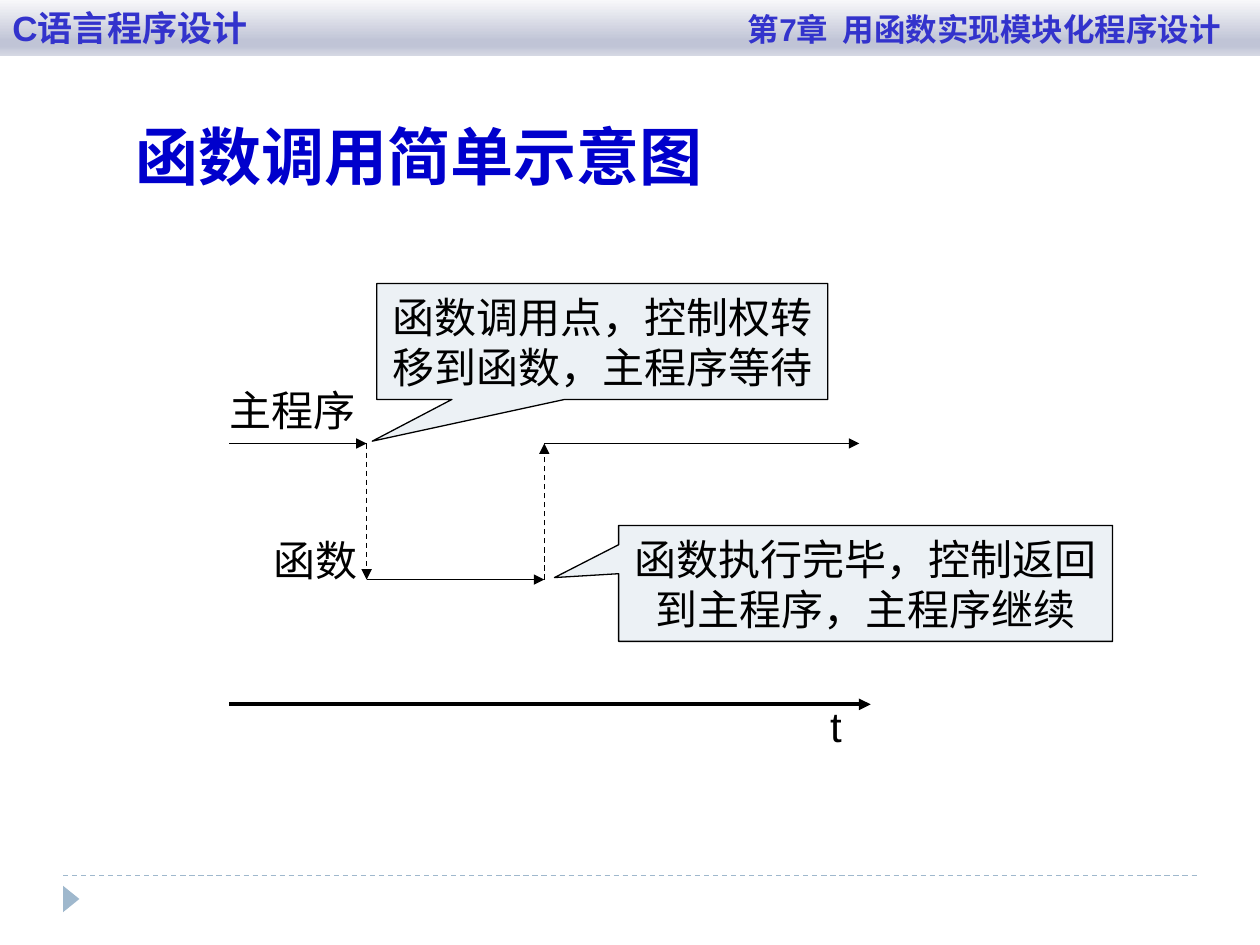
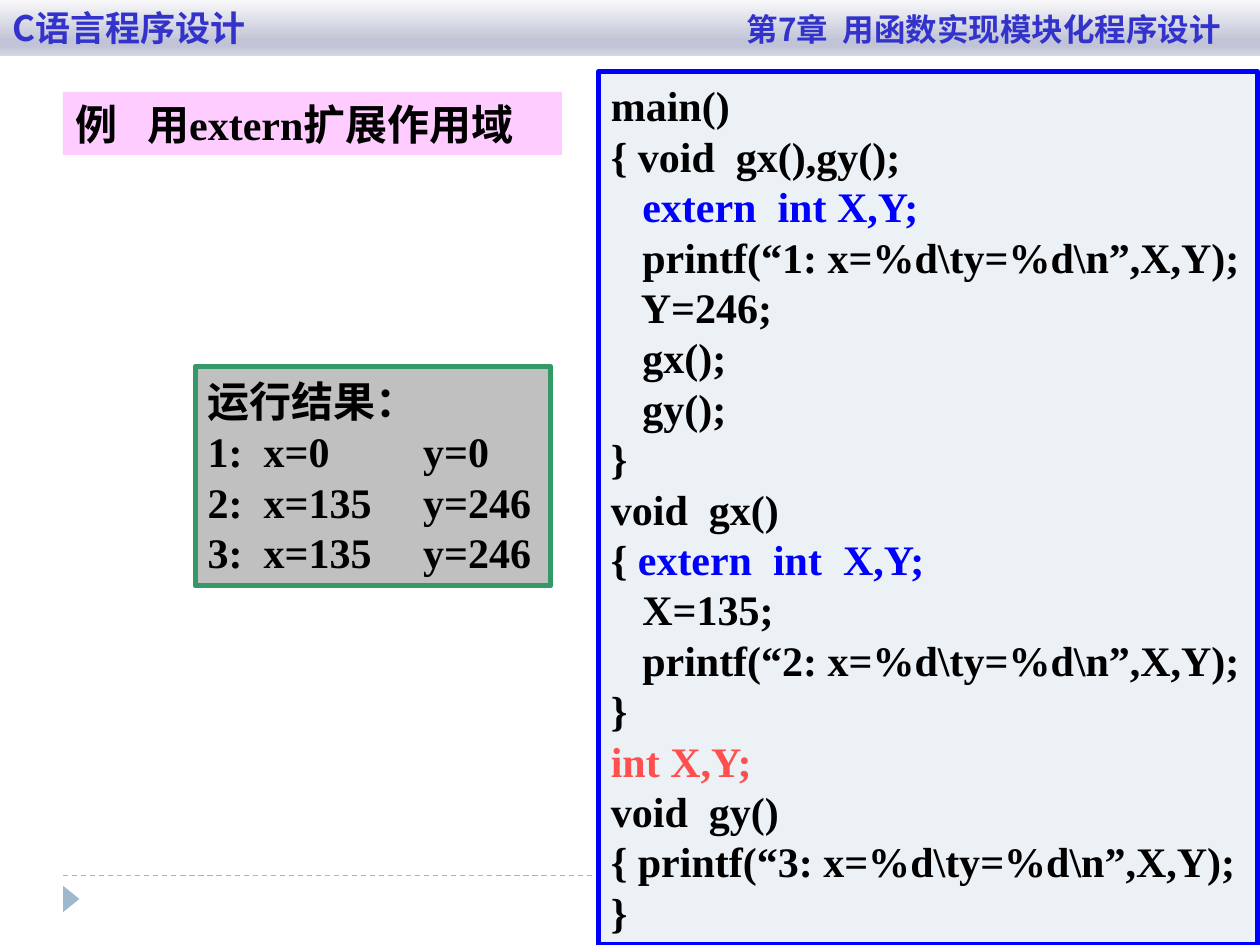
from dataclasses import dataclass
from typing import Optional

from lxml import etree
from pptx import Presentation
from pptx import util as u
from pptx.dml.color import RGBColor
from pptx.enum import dml, shapes, text
from pptx.oxml import ns

BLACK = RGBColor(0x00, 0x00, 0x00)
TITLE_BLUE = RGBColor(0x00, 0x00, 0xCC)
BAND_BLUE = RGBColor(0x33, 0x33, 0xCC)
CODE_BLUE = RGBColor(0x00, 0x00, 0xFF)
CODE_RED = RGBColor(0xFF, 0x50, 0x50)
MIST = RGBColor(0x9F, 0xB8, 0xCD)
PALE = RGBColor(0xEC, 0xF1, 0xF5)
PINK = RGBColor(0xFF, 0xCC, 0xFF)
SILVER = RGBColor(0xC0, 0xC0, 0xC0)
GREEN = RGBColor(0x33, 0x99, 0x66)
BAND_STOPS = (
    (0, RGBColor(0xF8, 0xF8, 0xFA)),
    (74, RGBColor(0xC0, 0xC4, 0xD6)),
    (83, RGBColor(0xC0, 0xC4, 0xD6)),
    (100, RGBColor(0xD5, 0xD8, 0xE3)),
)

SANS = "Arial"
CJK = "Noto Sans CJK JP"
SERIF = "Times New Roman"
LEADING = 1.2

LEFT = text.PP_ALIGN.LEFT
CENTER = text.PP_ALIGN.CENTER
RECT = shapes.MSO_SHAPE.RECTANGLE
CALLOUT = shapes.MSO_SHAPE.RECTANGULAR_CALLOUT


@dataclass(frozen=True)
class Span:
    words: str
    color: RGBColor = BLACK
    size: float = 24
    font: str = SANS
    bold: bool = False


@dataclass(frozen=True)
class Box:
    left: float
    top: float
    width: float
    height: float
    lines: tuple = ()
    preset: Optional[shapes.MSO_SHAPE] = RECT
    fill: Optional[RGBColor] = None
    edge: Optional[RGBColor] = None
    weight: float = 0.75
    adjust: tuple = ()
    align: text.PP_ALIGN = LEFT
    anchor: text.MSO_ANCHOR = text.MSO_ANCHOR.MIDDLE
    wrap: bool = True
    tab: Optional[tuple] = None
    turn: float = 0


@dataclass(frozen=True)
class Stroke:
    start: tuple
    end: tuple
    color: RGBColor = BLACK
    weight: float = 0.75
    dashed: bool = False
    arrow: bool = True


def write(box: Box, frame) -> None:
    frame.word_wrap = box.wrap
    frame.vertical_anchor = box.anchor
    for number, spans in enumerate(box.lines):
        line = frame.add_paragraph() if number else frame.paragraphs[0]
        line.alignment = box.align
        line.line_spacing = u.Pt(LEADING * max(span.size for span in spans))
        if box.tab:
            position, side = box.tab
            stops = etree.SubElement(line._p.get_or_add_pPr(), ns.qn("a:tabLst"))
            etree.SubElement(stops, ns.qn("a:tab"), pos=str(u.Inches(position)), algn=side)
        for span in spans:
            run = line.add_run()
            run.text = span.words
            run.font.name = span.font
            run.font.size = u.Pt(span.size)
            run.font.bold = span.bold
            run.font.color.rgb = span.color


def draw_box(slide, box: Box):
    place = [u.Inches(n) for n in (box.left, box.top, box.width, box.height)]
    if box.preset is None:
        shape = slide.shapes.add_textbox(*place)
    else:
        shape = slide.shapes.add_shape(box.preset, *place)
        shape.shadow.inherit = False
        shape.rotation = box.turn
        for index, value in enumerate(box.adjust):
            shape.adjustments[index] = value
        if box.fill is not None:
            shape.fill.solid()
            shape.fill.fore_color.rgb = box.fill
        if box.edge is None:
            shape.line.fill.background()
        else:
            shape.line.color.rgb = box.edge
            shape.line.width = u.Pt(box.weight)
    if box.lines:
        write(box, shape.text_frame)
    return shape


def draw_stroke(slide, stroke: Stroke) -> None:
    ends = [u.Inches(n) for n in (*stroke.start, *stroke.end)]
    link = slide.shapes.add_connector(shapes.MSO_CONNECTOR.STRAIGHT, *ends)
    link.line.color.rgb = stroke.color
    link.line.width = u.Pt(stroke.weight)
    if stroke.dashed:
        link.line.dash_style = dml.MSO_LINE.DASH
    if stroke.arrow:
        etree.SubElement(link.line._get_or_add_ln(), ns.qn("a:tailEnd"), type="triangle")
    etree.SubElement(link._element.spPr, ns.qn("a:effectLst"))


def draw_band(slide, font: str) -> None:
    course = Span("C语言程序设计\t", BAND_BLUE, 20, font, True)
    chapter = Span("第7章  用函数实现模块化程序设计", BAND_BLUE, 18, font, True)
    band = draw_box(slide, Box(0, 0, 10, 0.44, ((course, chapter),), tab=(9.59, "r")))
    band.fill.gradient()
    band.fill.gradient_angle = 270
    stops = band._element.spPr.find(".//" + ns.qn("a:gsLst"))
    for stop in list(stops):
        stops.remove(stop)
    for percent, color in BAND_STOPS:
        stop = etree.SubElement(stops, ns.qn("a:gs"), pos=str(percent * 1000))
        etree.SubElement(stop, ns.qn("a:srgbClr"), val=str(color))


def start_slide(deck):
    slide = deck.slides.add_slide(deck.slide_layouts[6])
    draw_stroke(slide, Stroke((0.5, 6.95), (9.5, 6.95), MIST, dashed=True, arrow=False))
    draw_box(slide, Box(0.46, 7.07, 0.21, 0.13, fill=MIST, turn=90,
                        preset=shapes.MSO_SHAPE.ISOSCELES_TRIANGLE))
    return slide


def label(left: float, top: float, width: float, words: str) -> Box:
    return Box(left, top, width, 0.5, ((Span(words),),), preset=None,
               anchor=text.MSO_ANCHOR.TOP, wrap=False)


def callout(left: float, top: float, width: float, tip: tuple, words: str) -> Box:
    return Box(left, top, width, 0.92, ((Span(words),),), CALLOUT, PALE, BLACK,
               adjust=tip, align=CENTER)


def code(words: str, color: RGBColor = BLACK) -> Span:
    return Span(words, color, font=SERIF, bold=True)


def build_call_diagram(deck) -> None:
    slide = start_slide(deck)
    title = Span("函数调用简单示意图", TITLE_BLUE, 36, SANS, True)
    draw_box(slide, Box(0.98, 0.33, 8.52, 1.25, ((title,),), preset=None,
                        anchor=text.MSO_ANCHOR.BOTTOM))
    begin, call, resume = 1.82, 2.91, 4.32
    main_y, function_y, time_y = 3.52, 4.6, 5.59
    for stroke in (
        Stroke((begin, main_y), (call, main_y)),
        Stroke((resume, main_y), (6.82, main_y)),
        Stroke((begin, time_y), (6.91, time_y), weight=2.25),
        Stroke((call, main_y), (call, function_y), dashed=True),
        Stroke((call, function_y), (resume, function_y)),
        Stroke((resume, function_y), (resume, main_y), dashed=True),
    ):
        draw_stroke(slide, stroke)
    for box in (
        label(1.72, 3, 1.2, "主程序"),
        label(2.07, 4.19, 0.87, "函数"),
        label(6.49, 5.51, 0.31, "t"),
        callout(2.99, 2.25, 3.58, (-0.51, 0.86), "函数调用点，控制权转移到函数，主程序等待"),
        callout(4.91, 4.17, 3.92, (-0.63, -0.05), "函数执行完毕，控制返回到主程序，主程序继续"),
    ):
        draw_box(slide, box)
    draw_band(slide, SANS)


def build_extern_example(deck) -> None:
    slide = start_slide(deck)
    program = (
        (code("main()"),),
        (code("{ void  gx(),gy();"),),
        (code("   "), code("extern  int X,Y;", CODE_BLUE)),
        (code("   printf(“1: x=%d\\ty=%d\\n”,X,Y);"),),
        (code("   Y=246;"),),
        (code("   gx();"),),
        (code("   gy();"),),
        (code("}"),),
        (code("void  gx()"),),
        (code("{ "), code("extern  int  X,Y;", CODE_BLUE)),
        (code("   X=135;"),),
        (code("   printf(“2: x=%d\\ty=%d\\n”,X,Y);"),),
        (code("}"),),
        (code("int X,Y;", CODE_RED),),
        (code("void  gy()"),),
        (code("{ printf(“3: x=%d\\ty=%d\\n”,X,Y);"),),
        (code("}"),),
    )
    output = ("运行结果：", "1:  x=0\ty=0", "2:  x=135\ty=246", "3:  x=135\ty=246")
    results = tuple((code(line),) for line in output)
    heading = ((code("例\t用extern扩展作用域"),),)
    for box in (
        Box(0.5, 0.73, 3.96, 0.5, heading, fill=PINK, tab=(0.57, "l")),
        Box(4.75, 0.57, 5.23, 6.93, program, fill=PALE, edge=CODE_BLUE, weight=3, wrap=False),
        Box(1.55, 2.91, 2.82, 1.74, results, fill=SILVER, edge=GREEN, weight=3,
            tab=(1.71, "l")),
    ):
        draw_box(slide, box)
    draw_band(slide, CJK)


def main() -> None:
    deck = Presentation()
    deck.slide_width = u.Inches(10)
    deck.slide_height = u.Inches(7.5)
    build_call_diagram(deck)
    build_extern_example(deck)
    deck.save("out.pptx")


if __name__ == "__main__":
    main()
